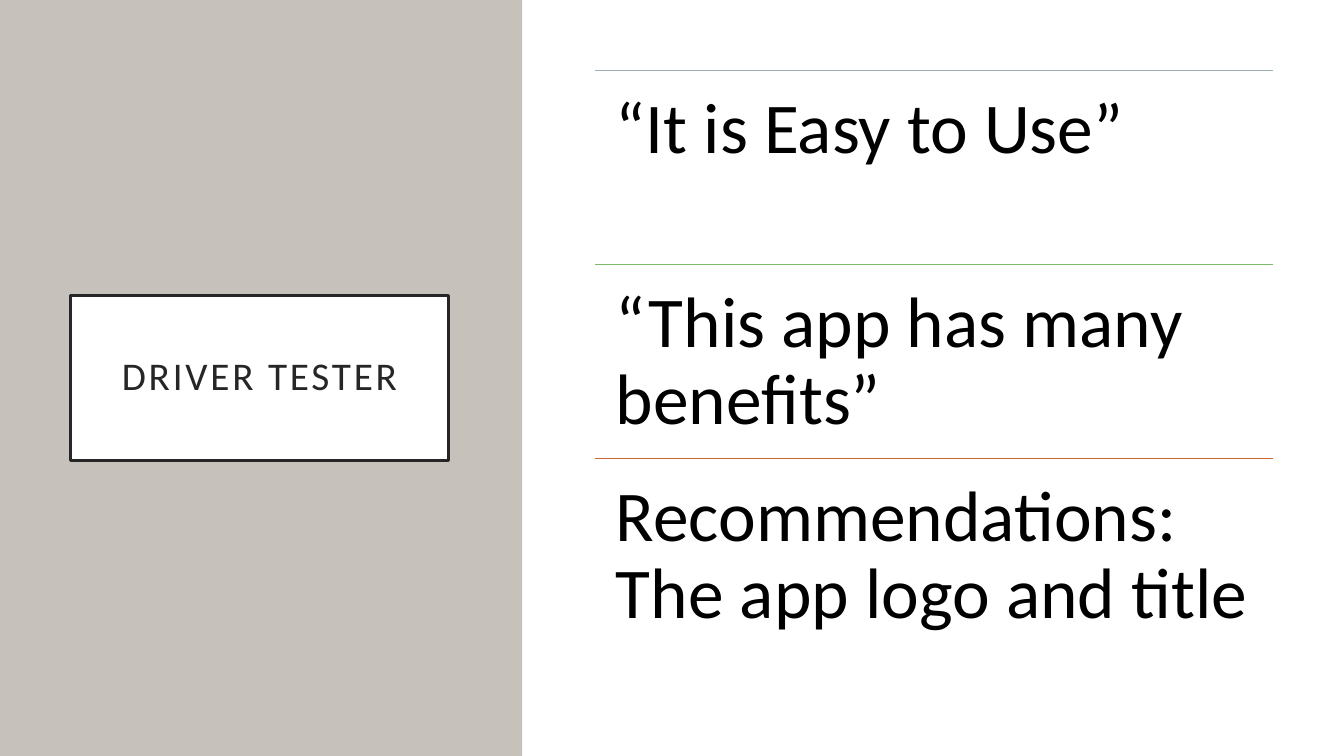
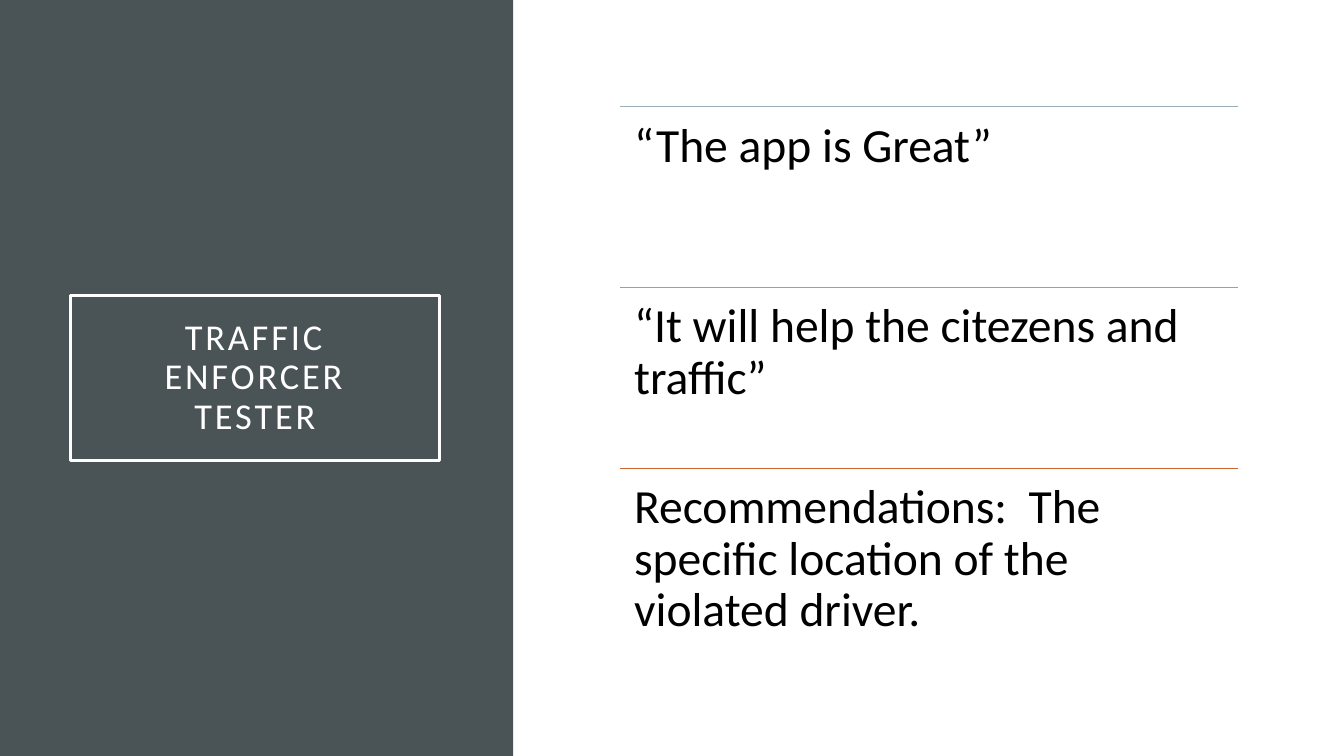
from pptx import Presentation
from pptx.dml.color import RGBColor
from pptx.enum import shapes, text
from pptx.oxml.ns import qn
from pptx.util import Inches, Pt

FONT = "Calibri"
WHITE = RGBColor(0xFF, 0xFF, 0xFF)
BLACK = RGBColor(0x00, 0x00, 0x00)
INK = RGBColor(0x26, 0x26, 0x26)
STONE = RGBColor(0xC6, 0xC1, 0xBA)
SLATE = RGBColor(0x4A, 0x53, 0x56)
RULE_COLORS = (
    RGBColor(0x9B, 0xAF, 0xB5),
    RGBColor(0x7A, 0xBC, 0x69),
    RGBColor(0xC9, 0x67, 0x31),
)
SLIDE_W, SLIDE_H = 13.33, 7.5


def add_rect(slide, left, top, width, height, fill=None, line=None):
    """Plain rectangle; fill and line are optional colours."""
    rect = slide.shapes.add_shape(
        shapes.MSO_SHAPE.RECTANGLE,
        Inches(left), Inches(top), Inches(width), Inches(height))
    rect.shadow.inherit = False
    if fill is None:
        rect.fill.background()
    else:
        rect.fill.solid()
        rect.fill.fore_color.rgb = fill
    if line is None:
        rect.line.fill.background()
    else:
        rect.line.color.rgb = line
        rect.line.width = Pt(2.5)
    return rect


def write(frame, words, size, color, align, margin_x, margin_y):
    """Fill a text frame with one wrapped paragraph."""
    frame.word_wrap = True
    frame.margin_left = frame.margin_right = Inches(margin_x)
    frame.margin_top = frame.margin_bottom = Inches(margin_y)
    paragraph = frame.paragraphs[0]
    paragraph.text = words
    paragraph.alignment = align
    paragraph.line_spacing = 0.9
    paragraph.font.name = FONT
    paragraph.font.size = Pt(size)
    paragraph.font.color.rgb = color
    return paragraph


def add_title_panel(slide, width, panel_fill, title, size, color, title_fill, frame_color):
    """Full-height side panel with a framed title."""
    add_rect(slide, 0, 0, width, SLIDE_H, fill=panel_fill)
    left, height = 0.7, 1.64
    title_box = add_rect(slide, left, (SLIDE_H - height) / 2, width - 2 * left - 0.03,
                         height, title_fill, frame_color)
    title_box.text_frame.vertical_anchor = text.MSO_ANCHOR.MIDDLE
    paragraph = write(title_box.text_frame, title, size, color,
                      text.PP_ALIGN.CENTER, 0.3, 0.2)
    # Letter spacing, in hundredths of a point
    paragraph.runs[0].font._element.set("spc", "200")


def add_rule(slide, left, top, width, color, weight):
    rule = slide.shapes.add_connector(
        shapes.MSO_CONNECTOR.STRAIGHT,
        Inches(left), Inches(top), Inches(left + width), Inches(top))
    rule.line.color.rgb = color
    rule.line.width = Pt(weight)
    properties = rule._element.spPr
    properties.append(properties.makeelement(qn("a:effectLst"), {}))


def add_feedback(slide, left, top, width, height, comments, size, margin, weight):
    """Equal rows of comments, each under a coloured rule."""
    row_height = height / len(comments)
    for row, (comment, color) in enumerate(zip(comments, RULE_COLORS)):
        row_top = top + row * row_height
        add_rule(slide, left, row_top, width, color, weight)
        comment_box = slide.shapes.add_textbox(
            Inches(left), Inches(row_top), Inches(width), Inches(row_height))
        write(comment_box.text_frame, comment, size, BLACK,
              text.PP_ALIGN.LEFT, margin, margin)


def main():
    prs = Presentation()
    prs.slide_width, prs.slide_height = Inches(SLIDE_W), Inches(SLIDE_H)
    blank = prs.slide_layouts[6]

    # Driver tester
    driver = prs.slides.add_slide(blank)
    add_title_panel(driver, 5.18, STONE, "DRIVER TESTER", 28, INK, WHITE, INK)
    add_feedback(driver, 5.9, 0.7, 6.73, 5.77, (
        "“It is Easy to Use”",
        "“This app has many benefits”",
        "Recommendations: The app logo and title",
    ), size=51, margin=0.21, weight=1)

    # Traffic enforcer tester
    enforcer = prs.slides.add_slide(blank)
    add_title_panel(enforcer, 5.09, SLATE, "TRAFFIC ENFORCER TESTER", 26,
                    WHITE, None, WHITE)
    add_feedback(enforcer, 6.15, 1.06, 6.13, 5.38, (
        "“The app is Great”",
        "“It will help the citezens and traffic”",
        "Recommendations:  The specific location of the violated driver.",
    ), size=34, margin=0.14, weight=0.5)

    prs.save("out.pptx")


if __name__ == "__main__":
    main()
